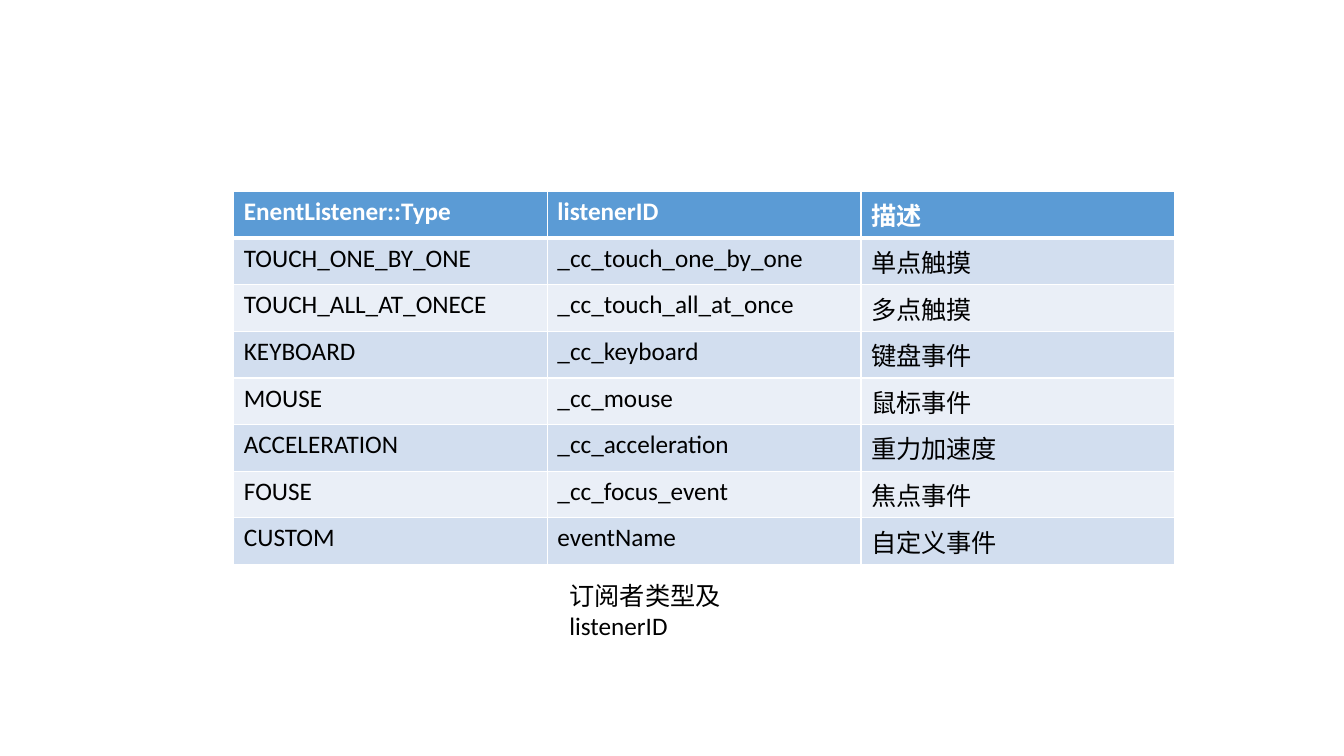
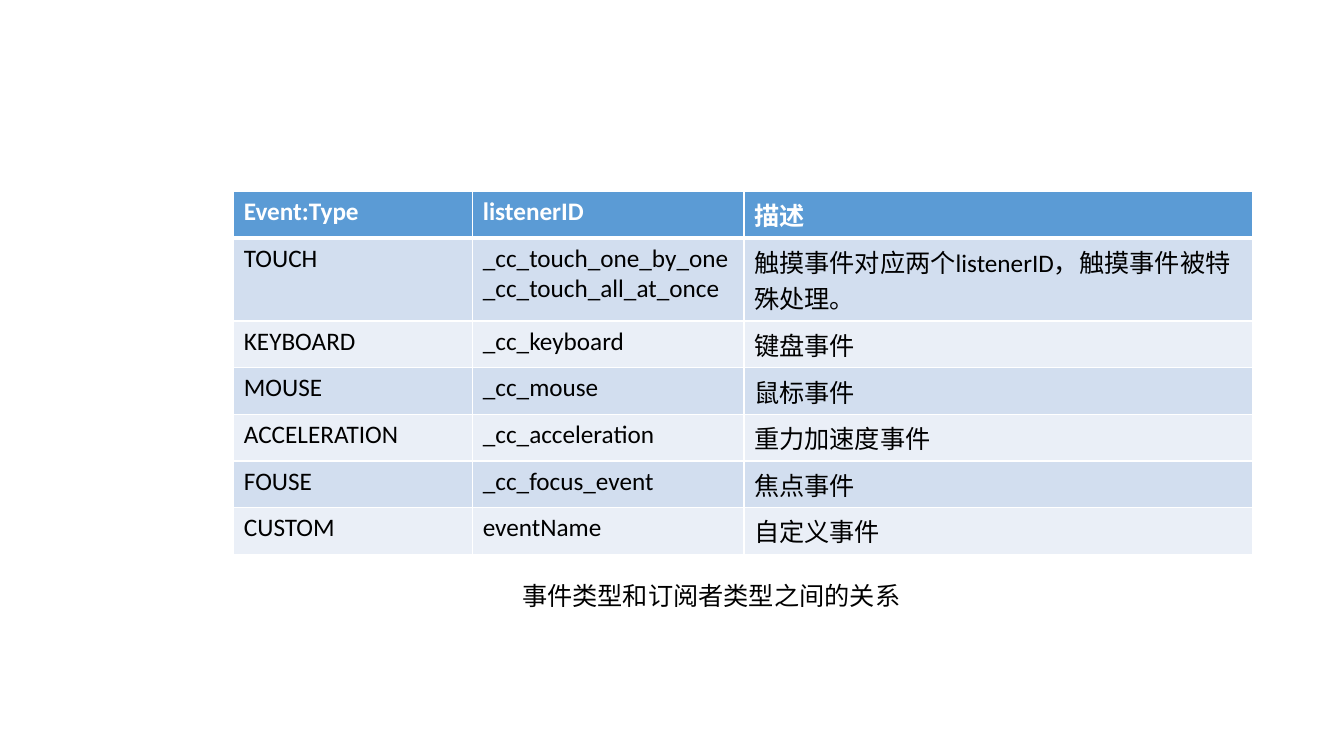
from dataclasses import dataclass
from lxml.etree import SubElement
from pptx import Presentation
from pptx.dml.color import RGBColor
from pptx.oxml.ns import qn
from pptx.util import Inches, Pt


@dataclass(frozen=True)
class Theme:
    font: str = "Calibri"
    size: float = 18
    paper: str = "FFFFFF"
    ink: str = "000000"
    header: str = "5B9BD5"
    bands: tuple = ("D2DEEF", "EAEFF7")
    rule: float = 1
    header_rule: float = 3


THEME = Theme()
WIDTH, HEIGHT = Inches(13.33), Inches(7.5)
TABLE_LEFT, TABLE_TOP = 17.4, 25.33
ROW_HEIGHT, EXTRA_LINE = 6.17, 4.81
CAPTION_TOP, CAPTION_HEIGHT = 76.13, 5.33

LISTENER_ROWS = [
    ("EnentListener::Type", "listenerID", "描述"),
    ("TOUCH_ONE_BY_ONE", "_cc_touch_one_by_one", "单点触摸"),
    ("TOUCH_ALL_AT_ONECE", "_cc_touch_all_at_once", "多点触摸"),
    ("KEYBOARD", "_cc_keyboard", "键盘事件"),
    ("MOUSE", "_cc_mouse", "鼠标事件"),
    ("ACCELERATION", "_cc_acceleration", "重力加速度"),
    ("FOUSE", "_cc_focus_event", "焦点事件"),
    ("CUSTOM", "eventName", "自定义事件"),
]
EVENT_ROWS = [
    ("Event:Type", "listenerID", "描述"),
    ("TOUCH", "_cc_touch_one_by_one\n_cc_touch_all_at_once",
     "触摸事件对应两个listenerID，触摸事件被特殊处理。"),
    ("KEYBOARD", "_cc_keyboard", "键盘事件"),
    ("MOUSE", "_cc_mouse", "鼠标事件"),
    ("ACCELERATION", "_cc_acceleration", "重力加速度事件"),
    ("FOUSE", "_cc_focus_event", "焦点事件"),
    ("CUSTOM", "eventName", "自定义事件"),
]


def across(percent):
    return round(WIDTH * percent / 100)


def down(percent):
    return round(HEIGHT * percent / 100)


def write(frame, words, color, bold=False):
    frame.text = words
    formats = {"name": THEME.font, "size": Pt(THEME.size), "bold": bold}
    for paragraph in frame.paragraphs:
        for run in paragraph.runs:
            for attribute, value in formats.items():
                setattr(run.font, attribute, value)
            run.font.color.rgb = RGBColor.from_string(color)


def rule_cell(cell, top, bottom):
    properties = cell._tc.get_or_add_tcPr()
    edges = {"L": THEME.rule, "R": THEME.rule, "T": top, "B": bottom}
    for position, (edge, weight) in enumerate(edges.items()):
        line = SubElement(properties, qn(f"a:ln{edge}"), w=str(Pt(weight)))
        fill = SubElement(line, qn("a:solidFill"))
        SubElement(fill, qn("a:srgbClr"), val=THEME.paper)
        properties.insert(position, line)


def row_share(entries):
    extra_lines = max(words.count("\n") for words in entries)
    return ROW_HEIGHT + EXTRA_LINE * extra_lines


def add_listing(slide, rows, column_shares):
    row_shares = [row_share(entries) for entries in rows]
    table = slide.shapes.add_table(
        len(rows), len(column_shares), across(TABLE_LEFT), down(TABLE_TOP),
        across(sum(column_shares)), down(sum(row_shares))).table
    for column, share in zip(table.columns, column_shares):
        column.width = across(share)
    for r, entries in enumerate(rows):
        table.rows[r].height = down(row_shares[r])
        is_header = r == 0
        shade = THEME.header if is_header else THEME.bands[(r - 1) % 2]
        top = THEME.header_rule if r == 1 else THEME.rule
        bottom = THEME.header_rule if is_header else THEME.rule
        for c, words in enumerate(entries):
            cell = table.cell(r, c)
            cell.fill.solid()
            cell.fill.fore_color.rgb = RGBColor.from_string(shade)
            write(cell.text_frame, words,
                  THEME.paper if is_header else THEME.ink, is_header)
            rule_cell(cell, top, bottom)


def add_caption(slide, words, left, width):
    caption = slide.shapes.add_textbox(
        across(left), down(CAPTION_TOP), across(width), down(CAPTION_HEIGHT))
    caption.text_frame.word_wrap = True
    write(caption.text_frame, words, THEME.ink)


def main():
    deck = Presentation()
    deck.slide_width, deck.slide_height = WIDTH, HEIGHT
    blank = deck.slide_layouts[6]

    listener_types = deck.slides.add_slide(blank)
    add_listing(listener_types, LISTENER_ROWS, [23.33] * 3)
    add_caption(listener_types, "订阅者类型及listenerID", 41.63, 20)

    event_types = deck.slides.add_slide(blank)
    add_listing(event_types, EVENT_ROWS, [17.78, 20.18, 37.88])
    add_caption(event_types, "事件类型和订阅者类型之间的关系", 38.11, 30)

    deck.save("out.pptx")


main()
